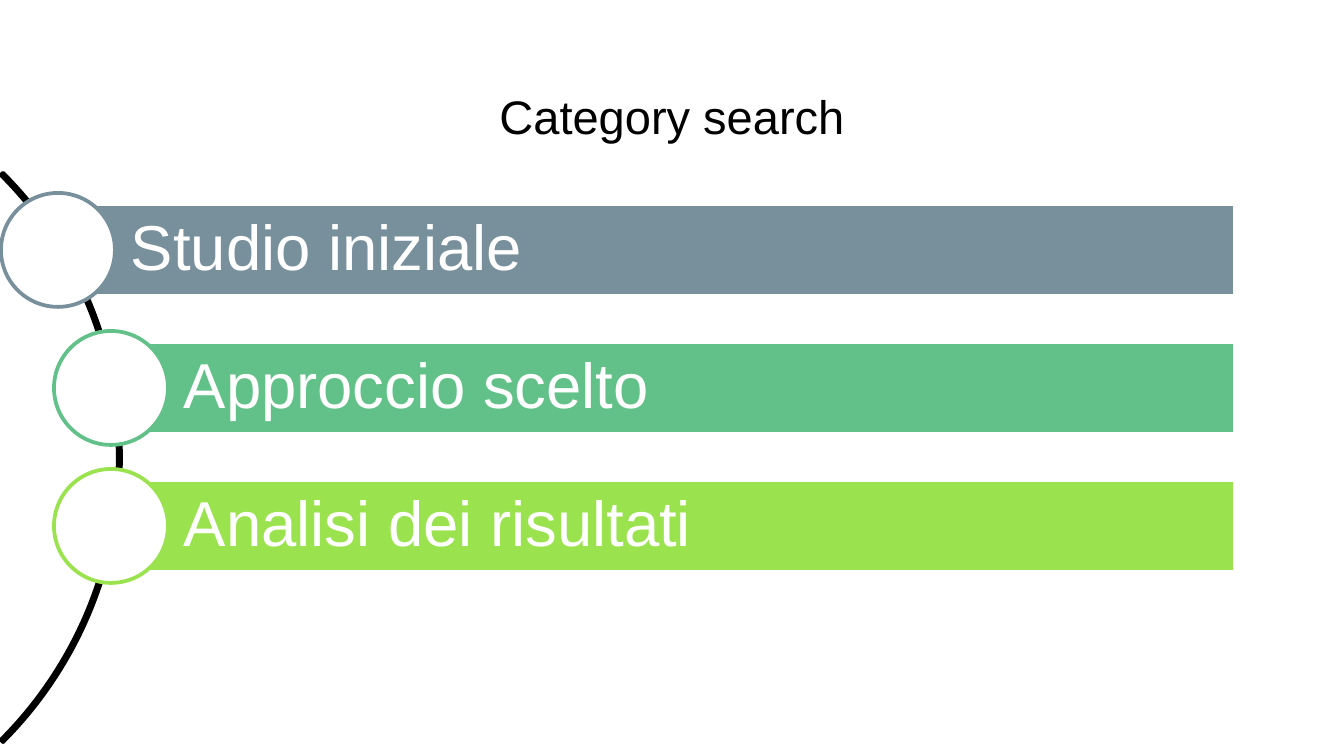
import dataclasses

import pptx
import pptx.dml.color
import pptx.enum.shapes
import pptx.enum.text
import pptx.util

SCALE = 914400 / 134.4  # EMU in one px
KIND = pptx.enum.shapes.MSO_SHAPE
ALIGN = pptx.enum.text.PP_ALIGN
ANCHOR = pptx.enum.text.MSO_ANCHOR


@dataclasses.dataclass(frozen=True)
class Theme:
    font: str = "Arial"
    black: str = "000000"
    white: str = "FFFFFF"
    slate: str = "78909C"
    green: str = "61C188"
    lime: str = "9BE24F"
    title: float = 25.2
    label: float = 34
    line: float = 2


@dataclasses.dataclass(frozen=True)
class Step:
    text: str
    color: str
    mid: int  # x of the circle's middle


THEME = Theme()
STEPS = [
    Step("Studio iniziale", THEME.slate, 58),
    Step("Approccio scelto", THEME.green, 111),
    Step("Analisi dei risultati", THEME.lime, 111),
]
FIRST, PITCH = 250, 138  # middle of the first row, distance between rows
RIGHT, TALL, ROUND = 1235, 92, 114  # bar end, bar height, circle diameter


def px(size: int) -> pptx.util.Emu:
    return pptx.util.Emu(round(size * SCALE))


def rgb(color: str) -> pptx.dml.color.RGBColor:
    return pptx.dml.color.RGBColor.from_string(color)


def draw(slide, kind, box: tuple, line: str, fill: str | None = None):
    shape = slide.shapes.add_shape(kind, *map(px, box))
    shape.shadow.inherit = False
    if fill:
        shape.fill.solid()
        shape.fill.fore_color.rgb = rgb(fill)
    else:
        shape.fill.background()
    shape.line.color.rgb = rgb(line)
    shape.line.width = pptx.util.Pt(THEME.line)
    return shape


def write(shape, text: str, *, size: float, color: str, inset: tuple,
          align=ALIGN.LEFT, anchor=ANCHOR.TOP, spacing: float = 1) -> None:
    frame = shape.text_frame
    frame.word_wrap = True
    frame.vertical_anchor = anchor
    (frame.margin_left, frame.margin_top,
     frame.margin_right, frame.margin_bottom) = map(px, inset)
    para = frame.paragraphs[0]
    para.alignment = align
    para.line_spacing = spacing
    run = para.add_run()
    run.text = text
    run.font.name = THEME.font
    run.font.size = pptx.util.Pt(size)
    run.font.color.rgb = rgb(color)


def add_step(slide, step: Step, row: int) -> None:
    mid = FIRST + row * PITCH
    bar = draw(slide, KIND.RECTANGLE,
               (step.mid, mid - TALL // 2, RIGHT - step.mid, TALL),
               THEME.white, step.color)
    write(bar, step.text, size=THEME.label, color=THEME.white,
          inset=(73, 12, 12, 12), anchor=ANCHOR.MIDDLE, spacing=0.9)
    draw(slide, KIND.OVAL,
         (step.mid - ROUND // 2, mid - ROUND // 2, ROUND, ROUND),
         step.color, THEME.white)


def main() -> None:
    deck = pptx.Presentation()
    deck.slide_width, deck.slide_height = px(1344), px(756)
    slide = deck.slides.add_slide(deck.slide_layouts[6])

    # Arc behind the steps, from 315 to 45 degrees
    arc = draw(slide, KIND.BLOCK_ARC, (-684, 55, 805, 805), THEME.black)
    for i, value in enumerate((189, 27, 0.004)):
        arc.adjustments[i] = value

    # Steps
    for row, step in enumerate(STEPS):
        add_step(slide, step, row)

    # Title
    title = slide.shapes.add_textbox(*map(px, (46, 66, 1252, 85)))
    write(title, "Category search", size=THEME.title, color=THEME.black,
          inset=(13, 13, 13, 13), align=ALIGN.CENTER, spacing=1.15)

    deck.save("out.pptx")


if __name__ == "__main__":
    main()
